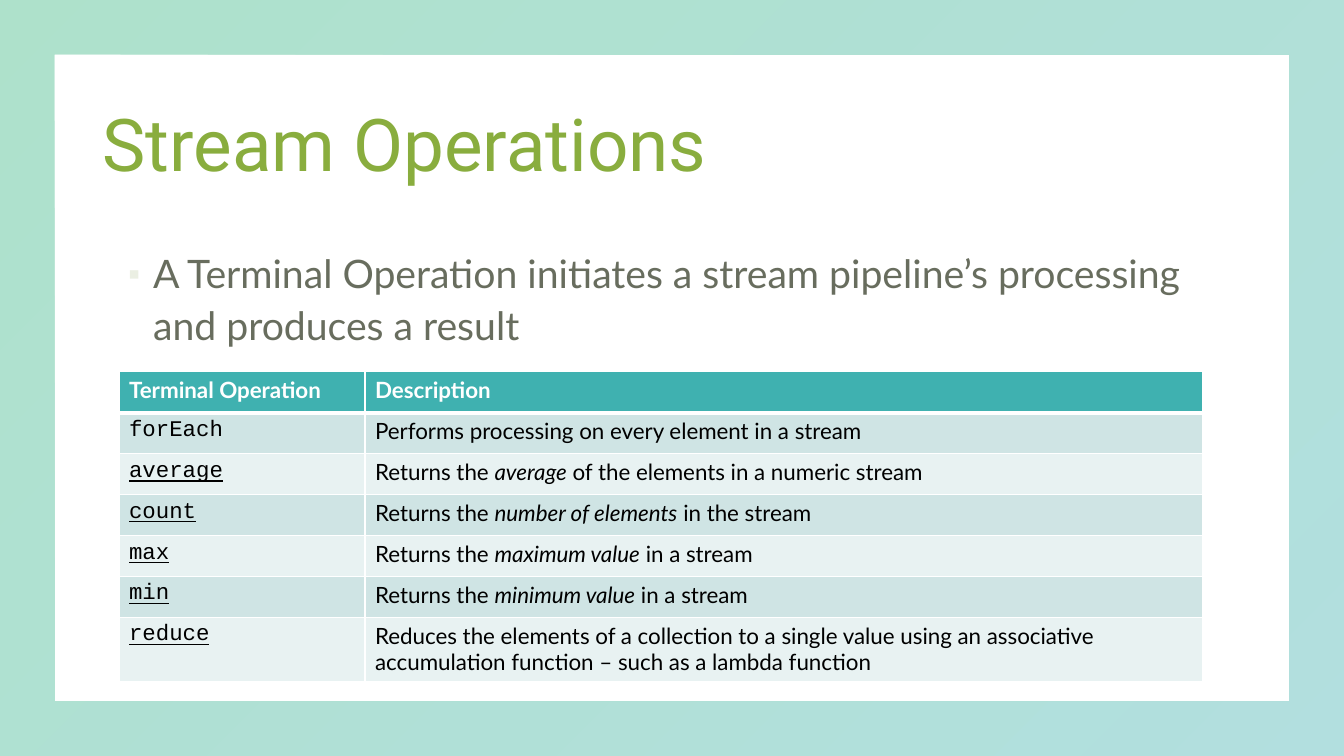
from dataclasses import dataclass

from lxml.etree import SubElement as Sub
from pptx import Presentation
from pptx.dml.color import RGBColor as Rgb
from pptx.enum.shapes import MSO_SHAPE as Shape
from pptx.enum.text import MSO_ANCHOR as Anchor
from pptx.oxml.ns import qn
from pptx.util import Cm, Pt


@dataclass(frozen=True)
class Theme:
    green: str = "35B57F"
    teal: str = "3FB1B0"
    title: str = "89AD3E"
    body: str = "29301B"
    bullet: str = "EBEFE3"
    white: str = "FFFFFF"
    black: str = "000000"
    bands: tuple = ("CFE4E4", "E8F2F2")
    head_font: str = "Roboto"
    text_font: str = "Lato"
    code_font: str = "Courier New"
    head_size: int = 52
    text_size: int = 28
    cell_size: int = 16


def node(parent, tag, **attrs):
    return Sub(parent, qn(tag), **attrs)


def fade(parent, percent):
    """Make every colour below the parent partly transparent."""
    for color in parent.iter(qn("a:srgbClr")):
        node(color, "a:alpha", val=str(percent * 1000))


class Painter:
    def __init__(self, slide, theme):
        self.slide, self.theme = slide, theme

    def frame(self, width, height, ratio):
        shape = self.slide.shapes.add_shape(Shape.FRAME, 0, 0, width, height)
        shape.adjustments[0] = ratio
        shape.shadow.inherit = False
        shape.line.fill.background()
        shape.fill.gradient()
        shape.fill.gradient_angle = 315
        tints = self.theme.green, self.theme.teal
        for stop, tint in zip(shape.fill.gradient_stops, tints):
            stop.color.rgb = Rgb.from_string(tint)
        fade(shape.element.spPr, 40)

    def run(self, para, text, font, size, color, bold=False, slant=False, under=False):
        run = para.add_run()
        run.text = text
        face = run.font
        face.name, face.size = font, Pt(size)
        face.bold, face.italic, face.underline = bold, slant, under
        face.color.rgb = Rgb.from_string(color)
        return run

    def text(self, place, words, font, size, color, space, anchor=Anchor.TOP):
        frame = self.slide.shapes.add_textbox(*map(Cm, place)).text_frame
        frame.word_wrap = True
        frame.vertical_anchor = anchor
        para = frame.paragraphs[0]
        para.line_spacing = space
        return para, self.run(para, words, font, size, color)

    def bullet(self, place, words):
        look = self.theme
        para, run = self.text(place, words, look.text_font, look.text_size, look.body, 1.1)
        fade(run.font._element, 70)
        para.space_before = Pt(10)
        props = para._p.get_or_add_pPr()
        props.set("marL", str(Cm(1.27)))
        props.set("indent", str(-Cm(0.635)))
        node(node(props, "a:buClr"), "a:srgbClr", val=look.bullet)
        node(props, "a:buSzPct", val="80000")
        node(props, "a:buFont", typeface=look.text_font)
        node(props, "a:buChar", char="▪")

    def cell(self, cell, fill, top, bottom):
        props = cell._tc.get_or_add_tcPr()
        for side, width in zip("LRTB", (1, 1, top, bottom)):
            line = node(props, f"a:ln{side}", w=str(Pt(width)))
            node(node(line, "a:solidFill"), "a:srgbClr", val=self.theme.white)
        cell.fill.solid()
        cell.fill.fore_color.rgb = Rgb.from_string(fill)
        return cell.text_frame.paragraphs[0]

    def table(self, place, widths, heights, heads, rows):
        look = self.theme
        size = look.cell_size
        grid = self.slide.shapes.add_table(len(heights), len(widths), *map(Cm, place)).table
        grid.horz_banding = False
        for col, width in zip(grid.columns, widths):
            col.width = Cm(width)
        for row, height in zip(grid.rows, heights):
            row.height = Cm(height)
        # Heading row, set off by a thicker rule
        for col, head in enumerate(heads):
            para = self.cell(grid.cell(0, col), look.teal, 1, 3)
            self.run(para, head, look.text_font, size, look.white, bold=True)
        # Banded rows: code name, then prose with every second part in italics
        for num, (name, under, parts) in enumerate(rows, 1):
            fill = look.bands[(num - 1) % 2]
            code, prose = (
                self.cell(grid.cell(num, col), fill, 3 if num == 1 else 1, 1)
                for col in range(2)
            )
            self.run(code, name, look.code_font, size, look.black, under=under)
            for pos, part in enumerate(parts):
                self.run(prose, part, look.text_font, size, look.black, slant=pos % 2 == 1)


HEADS = "Terminal Operation", "Description"
ROWS = [
    ("forEach", False, ["Performs processing on every element in a stream"]),
    ("average", True, ["Returns the ", "average", " of the elements in a numeric stream"]),
    ("count", True, ["Returns the ", "number of elements", " in the stream"]),
    ("max", True, ["Returns the ", "maximum value", " in a stream"]),
    ("min", True, ["Returns the ", "minimum value", " in a stream"]),
    ("reduce", True, ["Reduces the elements of a collection to a single value using an "
                      "associative accumulation function – such as a lambda function"]),
]


def main():
    deck = Presentation()
    deck.slide_width, deck.slide_height = Cm(33.87), Cm(19.05)
    look = Theme()
    paint = Painter(deck.slides.add_slide(deck.slide_layouts[6]), look)

    # Border
    paint.frame(deck.slide_width, deck.slide_height, 0.072)

    # Title and lead sentence
    paint.text((2.34, 1.88, 29.21, 3.68), "Stream Operations", look.head_font,
               look.head_size, look.title, 0.9, Anchor.MIDDLE)
    paint.bullet((2.34, 6.05, 29.21, 11.1),
                 "A Terminal Operation initiates a stream pipeline’s processing "
                 "and produces a result")

    # Operations table
    paint.table((3, 9.37, 27.31, 7.8), (6.2, 21.11), [1.03] * 6 + [1.62], HEADS, ROWS)

    deck.save("out.pptx")


if __name__ == "__main__":
    main()
